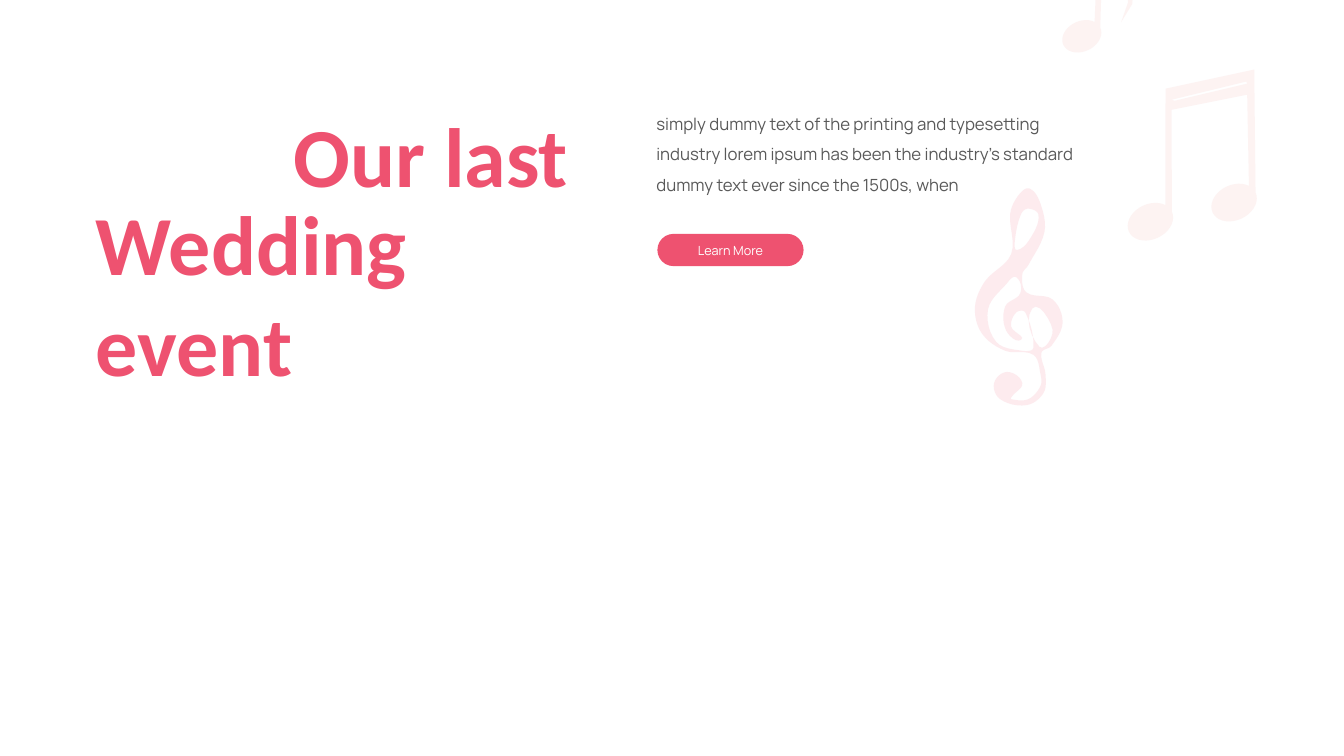
from math import cos, dist, radians, sin

from lxml import etree
from pptx import Presentation
from pptx.dml.color import RGBColor
from pptx.enum.shapes import MSO_SHAPE
from pptx.enum.text import MSO_ANCHOR, MSO_AUTO_SIZE, PP_ALIGN
from pptx.oxml.ns import qn
from pptx.util import Inches, Pt

ROUNDED = MSO_SHAPE.ROUNDED_RECTANGLE
TOP, MIDDLE = MSO_ANCHOR.TOP, MSO_ANCHOR.MIDDLE
LEFT, CENTER = PP_ALIGN.LEFT, PP_ALIGN.CENTER
FIXED = MSO_AUTO_SIZE.NONE

PINK = RGBColor(0xEE, 0x52, 0x70)
GRAY = RGBColor(0x59, 0x59, 0x59)
WHITE = RGBColor(0xFF, 0xFF, 0xFF)
CLEF_PINK = RGBColor(0xF8, 0xB4, 0xC1)
NOTE_PINK = RGBColor(0xF8, 0xD1, 0xD0)
MUSIC_OPACITY = 26
CURVE_STEPS = 6

# Content: wording and (left, top, width, height) in inches
TITLE = ("Our last", (2.81, 0.98, 3.13, 1.11))
SUBTITLE = ("Wedding event", (0.85, 1.85, 5.09, 2.13))
BODY = ("simply dummy text of the printing and typesetting industry lorem ipsum "
        "has been the industry's standard dummy text ever since the 1500s, when",
        (6.41, 0.98, 4.38, 0.98))
BUTTON = ("Learn More", (6.52, 2.32, 1.45, 0.32))

# Clef: points joined by smooth curves, the outer edge first, then the holes
CLEF = [
    [(10.03, 3.96), (10.2, 3.96), (10.32, 3.83), (10.32, 3.71), (10.25, 3.52),
     (9.97, 3.48), (9.74, 3.31), (9.67, 3.05), (9.77, 2.79), (10.03, 2.52),
     (10.02, 2.12), (10.1, 1.94), (10.21, 1.87), (10.32, 2.02), (10.36, 2.3),
     (10.2, 2.63), (10.14, 2.72), (10.18, 2.9), (10.44, 2.97), (10.54, 3.2),
     (10.43, 3.43), (10.33, 3.5), (10.37, 3.71), (10.35, 3.9), (10.18, 4.02),
     (9.92, 3.96), (9.86, 3.8), (9.99, 3.69), (10.14, 3.8), (10.04, 3.93)],
    [(10.14, 3.48), (10.25, 3.45), (10.17, 3.1), (10.08, 3.1), (10.03, 3.24),
     (10.13, 3.37), (9.98, 3.28), (9.97, 3.04), (10.12, 2.91), (10.08, 2.75),
     (9.98, 2.82), (9.8, 3.07), (9.88, 3.39)],
    [(10.07, 2.36), (10.09, 2.48), (10.24, 2.33), (10.3, 2.13), (10.2, 2.07),
     (10.13, 2.12)],
    [(10.44, 3.27), (10.24, 3.06), (10.31, 3.44)],
]


def note_head(x, y, scale=1):
    """Tilted oval, open where it meets the stem."""
    wide, high, tilt = 0.235 * scale, 0.175 * scale, radians(-25)
    return [(x + wide * cos(t) * cos(tilt) - high * sin(t) * sin(tilt),
             y + wide * cos(t) * sin(tilt) + high * sin(t) * cos(tilt))
            for t in map(radians, range(0, 331, 10))]


# Notes: straight outlines with oval heads
BEAMED_NOTES = [
    [(12.37, 0.94), (11.62, 1.09), *note_head(11.41, 2.2),
     (11.56, 0.88), (12.44, 0.69), *note_head(12.24, 2.01)],
    [(11.62, 0.99), (11.65, 1), (12.37, 0.83), (12.36, 0.81)],
]
SINGLE_NOTE = [
    [*note_head(10.73, 0.36, 0.86), (10.89, -0.6), (10.93, -0.6),
     (11.02, -0.39), (11.15, -0.27), (11.24, -0.1), (11.23, 0.04),
     (11.12, 0.22), (11.19, 0.02), (11.15, -0.18), (11.03, -0.27),
     (10.93, -0.3)],
]


def smooth(corners):
    """Closed curve through the corners, each tangent parallel to its neighbours."""
    count = len(corners)

    def tangent(i):
        before, after = corners[i - 1], corners[(i + 1) % count]
        return [(b - a) / dist(before, after) for a, b in zip(before, after)]

    points = []
    for i, start in enumerate(corners):
        j = (i + 1) % count
        end = corners[j]
        reach = dist(start, end) / 3
        for step in range(CURVE_STEPS):
            t = step / CURVE_STEPS
            points.append(tuple(
                (1 - t) ** 3 * a + 3 * t * (1 - t) ** 2 * (a + reach * da)
                + 3 * t * t * (1 - t) * (b - reach * db) + t ** 3 * b
                for a, b, da, db in zip(start, end, tangent(i), tangent(j))))
    return points


def draw_music(page, contours, color):
    builder = None
    for contour in contours:
        start, *rest = [tuple(map(Inches, point)) for point in contour]
        if builder is None:
            builder = page.shapes.build_freeform(*start)
        else:
            builder.move_to(*start)
        builder.add_line_segments(rest, close=True)
    shape = builder.convert_to_shape()
    shape.shadow.inherit = False
    shape.line.fill.background()
    shape.fill.solid()
    shape.fill.fore_color.rgb = color
    tint = shape._element.spPr.find(qn("a:solidFill")).find(qn("a:srgbClr"))
    etree.SubElement(tint, qn("a:alpha")).set("val", str(MUSIC_OPACITY * 1000))


def place(box, area):
    box.left, box.top, box.width, box.height = map(Inches, area)


def write(box, text, font, size, color, bold=False, align=LEFT, anchor=TOP):
    frame = box.text_frame
    frame.text = text
    frame.word_wrap = True
    frame.auto_size = FIXED
    frame.vertical_anchor = anchor
    para = frame.paragraphs[0]
    para.alignment = align
    span = para.runs[0].font
    span.name, span.size, span.bold = font, Pt(size), bold
    span.color.rgb = color
    return para


deck = Presentation()
deck.slide_width, deck.slide_height = Inches(13.33), Inches(7.5)
page = deck.slides.add_slide(deck.slide_layouts[1])

# Pale music symbols
draw_music(page, [smooth(corners) for corners in CLEF], CLEF_PINK)
for notes in (BEAMED_NOTES, SINGLE_NOTE):
    draw_music(page, notes, NOTE_PINK)

# Heading in two staggered parts
title = page.shapes.title
place(title, TITLE[1])
subtitle = page.shapes.add_textbox(*map(Inches, SUBTITLE[1]))
for box, (text, _) in ((title, TITLE), (subtitle, SUBTITLE)):
    write(box, text, "Calibri", 60, PINK, bold=True)

# Body text without bullet
body = page.placeholders[1]
place(body, BODY[1])
para = write(body, BODY[0], "Manrope", 12, GRAY)
para.line_spacing = 1.5
para.space_before = Pt(0)
properties = para._p.get_or_add_pPr()
properties.set("marL", "0")
properties.set("indent", "0")
etree.SubElement(properties, qn("a:buNone"))

# Button
button = page.shapes.add_shape(ROUNDED, *map(Inches, BUTTON[1]))
button.adjustments[0] = 0.5
button.shadow.inherit = False
button.fill.solid()
button.fill.fore_color.rgb = PINK
button.line.fill.background()
write(button, BUTTON[0], "Manrope", 9, WHITE, align=CENTER, anchor=MIDDLE)

deck.save("out.pptx")
